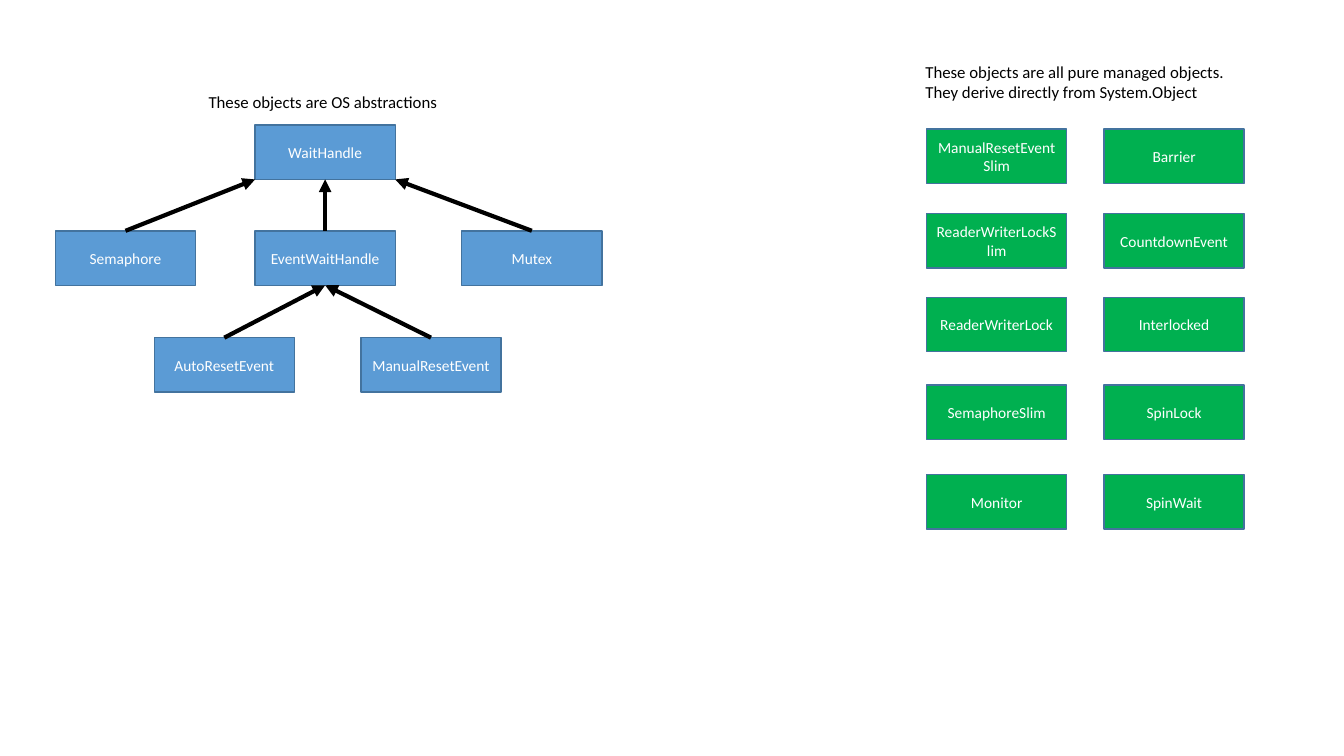
from lxml.etree import SubElement
from pptx import Presentation
from pptx.dml.color import RGBColor
from pptx.enum.shapes import MSO_CONNECTOR as Connector, MSO_SHAPE as Shape
from pptx.enum.text import MSO_ANCHOR as Anchor, MSO_AUTO_SIZE as AutoSize, PP_ALIGN as Align
from pptx.oxml.ns import qn
from pptx.util import Inches, Pt

BOX_WIDTH, BOX_HEIGHT = 1.39, 0.54
BLUE, GREEN, BORDER = "5B9BD5", "00B050", "43739E"
WHITE, BLACK = "FFFFFF", "000000"
TOP_SITE, BOTTOM_SITE = 0, 2

HANDLES = {
    "WaitHandle": (2.53, 1.24),
    "Semaphore": (0.55, 2.29),
    "Mutex": (4.58, 2.29),
    "EventWaitHandle": (2.53, 2.29),
    "AutoResetEvent": (1.53, 3.35),
    "ManualResetEvent": (3.58, 3.35),
}
# child, parent, share of the parent's width at which the arrow ends
INHERITANCE = [
    ("Semaphore", "WaitHandle", 0),
    ("EventWaitHandle", "WaitHandle", 0.5),
    ("Mutex", "WaitHandle", 1),
    ("AutoResetEvent", "EventWaitHandle", 0.5),
    ("ManualResetEvent", "EventWaitHandle", 0.5),
]
MANAGED_COLUMNS = {
    9.19: ["ManualResetEventSlim", "ReaderWriterLockSlim", "ReaderWriterLock",
           "SemaphoreSlim", "Monitor"],
    10.95: ["Barrier", "CountdownEvent", "Interlocked", "SpinLock", "SpinWait"],
}
MANAGED_ROWS = [1.28, 2.12, 2.95, 3.82, 4.71]


def color(value):
    """Turn a hex string into a colour."""
    return RGBColor.from_string(value)


def apply(target, formats):
    """Set each attribute in a dict of format values."""
    for name, value in formats.items():
        setattr(target, name, value)


class Diagram:
    """Holds the style and the current slide."""

    font_name = "Calibri"

    def __init__(self, slide):
        """Draw on the given slide."""
        self.shapes = slide.shapes

    def fill_text(self, frame, lines, size, text_color, align):
        """Fill a text frame with one paragraph per line."""
        for index, line in enumerate(lines):
            paragraph = frame.add_paragraph() if index else frame.paragraphs[0]
            paragraph.alignment = align
            run = paragraph.add_run()
            run.text = line
            apply(run.font, {"name": self.font_name, "size": Pt(size)})
            run.font.color.rgb = color(text_color)

    def box(self, name, left, top, fill):
        """Add a class box with its name in the centre."""
        shape = self.shapes.add_shape(
            Shape.RECTANGLE, Inches(left), Inches(top), Inches(BOX_WIDTH), Inches(BOX_HEIGHT))
        shape.shadow.inherit = False
        shape.fill.solid()
        shape.fill.fore_color.rgb = color(fill)
        shape.line.color.rgb = color(BORDER)
        shape.line.width = Pt(1)
        apply(shape.text_frame, {"word_wrap": True, "vertical_anchor": Anchor.MIDDLE})
        self.fill_text(shape.text_frame, [name], 11, WHITE, Align.CENTER)
        return shape

    def arrow(self, child, parent, share):
        """Add an arrow from the top of a child to the bottom edge of its parent."""
        connector = self.shapes.add_connector(
            Connector.STRAIGHT, child.left + child.width // 2, child.top,
            parent.left + int(parent.width * share), parent.top + parent.height)
        connector.begin_connect(child, TOP_SITE)
        if share == 0.5:
            connector.end_connect(parent, BOTTOM_SITE)
        connector.line.color.rgb = color(BLACK)
        connector.line.width = Pt(3)
        properties = connector.element.spPr
        SubElement(properties.find(qn("a:ln")), qn("a:tailEnd"), type="triangle")
        SubElement(properties, qn("a:effectLst"))

    def caption(self, lines, left, top, width, height):
        """Add a caption that keeps its own line breaks."""
        text_box = self.shapes.add_textbox(
            Inches(left), Inches(top), Inches(width), Inches(height))
        apply(text_box.text_frame,
              {"word_wrap": False, "auto_size": AutoSize.SHAPE_TO_FIT_TEXT})
        self.fill_text(text_box.text_frame, lines, 12, BLACK, Align.LEFT)


def main():
    """Build and save the slide."""
    presentation = Presentation()
    apply(presentation, {"slide_width": Inches(13.33), "slide_height": Inches(7.5)})
    diagram = Diagram(presentation.slides.add_slide(presentation.slide_layouts[6]))

    handles = {name: diagram.box(name, left, top, BLUE)
               for name, (left, top) in HANDLES.items()}
    for left, names in MANAGED_COLUMNS.items():
        for name, top in zip(names, MANAGED_ROWS):
            diagram.box(name, left, top, GREEN)
    for child, parent, share in INHERITANCE:
        diagram.arrow(handles[child], handles[parent], share)

    diagram.caption(["These objects are all pure managed objects.",
                     "They derive directly from System.Object"], 9.08, 0.56, 3.2, 0.5)
    diagram.caption(["These objects are OS abstractions"], 1.97, 0.86, 2.5, 0.3)
    presentation.save("out.pptx")


main()
